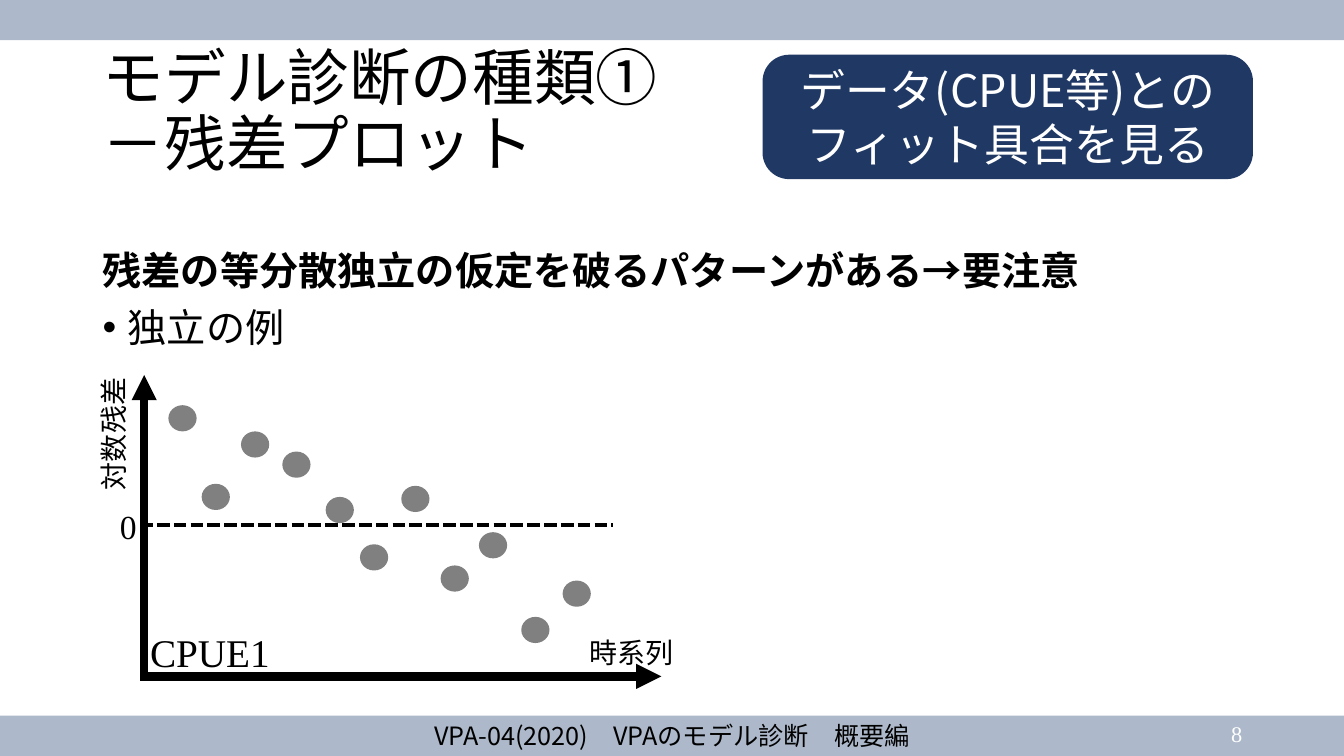
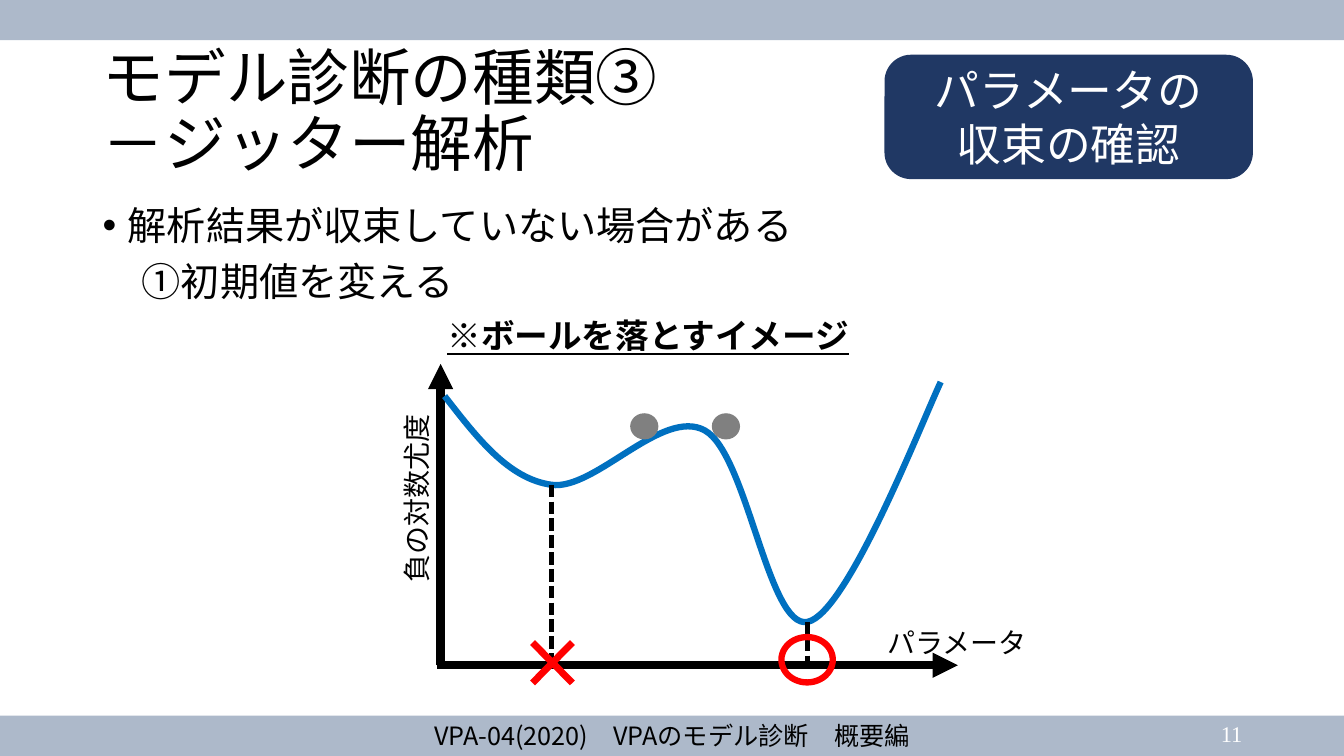
from lxml.etree import SubElement
from pptx import Presentation
from pptx.dml.color import RGBColor
from pptx.enum.dml import MSO_LINE
from pptx.enum.shapes import MSO_CONNECTOR, MSO_SHAPE
from pptx.enum.text import MSO_ANCHOR, MSO_AUTO_SIZE, PP_ALIGN
from pptx.oxml.ns import qn
from pptx.util import Pt

PX = 9144  # EMU per px, 100 px to the inch
SLIDE_WIDTH, SLIDE_HEIGHT, BAND_HEIGHT = 1333, 750, 40
SANS, SERIF = "Noto Sans CJK JP", "Times New Roman"
BLACK, WHITE, GRAY, RED = "000000", "FFFFFF", "808080", "FF0000"
BAND, NAVY, BLUE = "ADB9CA", "203864", "0070C0"
FOOTER = "VPA-04(2020)　VPAのモデル診断　概要編"
PLOT_WIDTH, PLOT_HEIGHT, AXIS_INSET = 517, 299, 4
DOT_WIDTH, DOT_HEIGHT = 28, 26


def px(*lengths):
    return [length * PX for length in lengths]


def rgb(color):
    return RGBColor.from_string(color)


def style_paragraph(paragraph, size, color=BLACK, face=SERIF, bold=False, underline=False):
    font = paragraph.font
    font.size, font.bold, font.underline = Pt(size), bold, underline
    font.color.rgb = rgb(color)
    font.name = face
    properties = paragraph._p.get_or_add_pPr().find(qn("a:defRPr"))
    SubElement(properties, qn("a:ea"), typeface=SANS)


def add_shape(slide, preset, box, fill=None, line=None, line_width=1):
    shape = slide.shapes.add_shape(preset, *px(*box))
    shape.shadow.inherit = False
    if fill:
        shape.fill.solid()
        shape.fill.fore_color.rgb = rgb(fill)
    else:
        shape.fill.background()
    if line:
        shape.line.color.rgb = rgb(line)
        shape.line.width = Pt(line_width)
    else:
        shape.line.fill.background()
    return shape


def add_text(slide, box, text, size, align=PP_ALIGN.LEFT, **style):
    text_box = slide.shapes.add_textbox(*px(*box))
    frame = text_box.text_frame
    frame.word_wrap = True
    frame.text = text
    paragraph = frame.paragraphs[0]
    paragraph.alignment = align
    style_paragraph(paragraph, size, **style)
    return text_box


def add_label(slide, box, text, size=20, rotation=0, **style):
    label = add_text(slide, box, text, size, **style)
    label.text_frame.word_wrap = False
    label.text_frame.auto_size = MSO_AUTO_SIZE.SHAPE_TO_FIT_TEXT
    label.rotation = rotation


def add_line(slide, start, end, width, arrow=False, dashed=False):
    connector = slide.shapes.add_connector(MSO_CONNECTOR.STRAIGHT, *px(*start, *end))
    connector.line.color.rgb = rgb(BLACK)
    connector.line.width = Pt(width)
    if dashed:
        connector.line.dash_style = MSO_LINE.SQUARE_DOT
    properties = connector.element.spPr
    if arrow:
        SubElement(properties.find(qn("a:ln")), qn("a:tailEnd"), type="triangle")
    SubElement(properties, qn("a:effectLst"))


def add_curve(slide, points, color, width):
    """Draw a cubic curve: a start point, then three points for each segment."""
    start, *rest = points
    builder = slide.shapes.build_freeform(*start, scale=PX)
    builder.add_line_segments(rest, close=False)
    curve = builder.convert_to_shape()
    curve.shadow.inherit = False
    curve.fill.background()
    curve.line.color.rgb = rgb(color)
    curve.line.width = Pt(width)
    outline = next(curve.element.iter(qn("a:path")))
    segments = outline.findall(qn("a:lnTo"))
    for first in range(0, len(segments), 3):
        cubic = SubElement(outline, qn("a:cubicBezTo"))
        for segment in segments[first:first + 3]:
            cubic.append(segment[0])
            outline.remove(segment)


def add_bands_to_layout(slide):
    """Draw the two bands and move them to the layout that the slides share."""
    layout_tree = slide.slide_layout.shapes.element
    for number, top in enumerate((SLIDE_HEIGHT - BAND_HEIGHT, 0)):
        band = add_shape(slide, MSO_SHAPE.RECTANGLE, (0, top, SLIDE_WIDTH, BAND_HEIGHT), BAND)
        band.element.nvSpPr.cNvPr.set("id", str(20 + number))
        layout_tree.append(band.element)


def add_title(slide, text):
    title = slide.shapes.title
    title.left, title.top, title.width, title.height = px(92, 40, 1150, 145)
    frame = title.text_frame
    frame.text = text
    frame.word_wrap = True
    frame.auto_size = MSO_AUTO_SIZE.NONE
    frame.vertical_anchor = MSO_ANCHOR.MIDDLE
    paragraph = frame.paragraphs[0]
    paragraph.alignment = PP_ALIGN.LEFT
    paragraph.line_spacing = 0.9
    style_paragraph(paragraph, 44, face=SANS)


def add_callout(slide, width, lines):
    right = 1242
    box = (right - width, 55, width, 122)
    callout = add_shape(slide, MSO_SHAPE.ROUNDED_RECTANGLE, box, NAVY, NAVY)
    callout.adjustments[0] = 0.21
    frame = callout.text_frame
    frame.word_wrap = True
    frame.vertical_anchor = MSO_ANCHOR.MIDDLE
    frame.text = "\n".join(lines)
    for paragraph in frame.paragraphs:
        paragraph.alignment = PP_ALIGN.CENTER
        style_paragraph(paragraph, 32, WHITE, SANS)


def add_body(slide, top, lines):
    """Write (text, bulleted, bold) lines from the given top."""
    frame = slide.shapes.add_textbox(*px(92, top, 1150, 110)).text_frame
    frame.word_wrap = True
    frame.text = "\n".join(text for text, _, _ in lines)
    for index, (paragraph, (_, bulleted, bold)) in enumerate(zip(frame.paragraphs, lines)):
        paragraph.line_spacing = 0.9
        if index:
            paragraph.space_before = Pt(10)
        if bulleted:
            properties = paragraph._p.get_or_add_pPr()
            properties.set("marL", str(25 * PX))
            properties.set("indent", str(-25 * PX))
            SubElement(properties, qn("a:buFont"), typeface="Arial")
            SubElement(properties, qn("a:buChar"), char="•")
        style_paragraph(paragraph, 28, bold=bold)


def add_footer(slide, number):
    add_text(slide, (351, 710, 631, 40), FOOTER, 18, PP_ALIGN.CENTER, face=SANS)
    page = add_text(slide, (942, 708, 300, 40), str(number), 16, PP_ALIGN.RIGHT, color=WHITE)
    page.text_frame.vertical_anchor = MSO_ANCHOR.MIDDLE


def add_axes(slide, left, top):
    bottom, axis = top + PLOT_HEIGHT, left + AXIS_INSET
    add_line(slide, (axis, bottom), (axis, top), 6, arrow=True)
    add_line(slide, (left, bottom), (left + PLOT_WIDTH, bottom), 6, arrow=True)


def add_dots(slide, left, top, offsets):
    for x, y in offsets:
        box = (left + x, top + y, DOT_WIDTH, DOT_HEIGHT)
        add_shape(slide, MSO_SHAPE.FLOWCHART_CONNECTOR, box, GRAY)


def add_residual_plot(slide, left, top):
    residuals = [(28, 30), (61, 108), (100, 56), (141, 76), (184, 121), (218, 168),
                 (259, 110), (298, 189), (336, 156), (378, 240), (419, 204)]
    zero = top + 149
    add_axes(slide, left, top)
    add_label(slide, (left - 92, top + 36, 132, 44), "対数残差", rotation=270)
    add_label(slide, (left + 436, top + 254, 104, 44), "時系列")
    add_line(slide, (left, zero), (left + 469, zero), 3, dashed=True)
    add_dots(slide, left, top, residuals)
    add_label(slide, (left - 30, zero - 24, 37, 50), "0", 24)
    add_label(slide, (left, top + 246, 140, 57), "CPUE1", 28)


def add_likelihood_plot(slide, left, top):
    curve = [(8, 32), (40, 73), (71, 114), (114, 120), (157, 126), (224, 43), (266, 66),
             (308, 89), (329, 264), (368, 256), (407, 248), (480, 61), (500, 18)]
    local_minimum, global_minimum = curve[3], curve[9]
    add_axes(slide, left, top)
    add_label(slide, (left - 114, top + 111, 188, 44), "負の対数尤度", rotation=270)
    add_curve(slide, [(left + x, top + y) for x, y in curve], BLUE, 4.5)
    add_label(slide, (left + 437, top + 255, 160, 44), "パラメータ")
    add_label(slide, (left + 1, top - 53, 424, 50), "※ボールを落とすイメージ", 24,
              bold=True, underline=True)
    for x, y in (local_minimum, global_minimum):
        add_line(slide, (left + x, top + y), (left + x, top + PLOT_HEIGHT), 3, dashed=True)
    add_dots(slide, left, top, [(192, 49), (273, 49)])
    add_shape(slide, MSO_SHAPE.FLOWCHART_CONNECTOR, (left + 342, top + 271, 51, 45),
              line=RED, line_width=4.5)
    cross = add_shape(slide, MSO_SHAPE.MATH_MULTIPLY, (left + 77, top + 258, 76, 77), RED)
    cross.adjustments[0] = 0.09


def add_diagnosis_slide(presentation, number, title, callout_width, callout, body_top, body):
    slide = presentation.slides.add_slide(presentation.slide_layouts[5])
    add_title(slide, title)
    add_body(slide, body_top, body)
    add_footer(slide, number)
    add_callout(slide, callout_width, callout)
    return slide


def main():
    presentation = Presentation()
    presentation.slide_width, presentation.slide_height = px(SLIDE_WIDTH, SLIDE_HEIGHT)

    residual_slide = add_diagnosis_slide(
        presentation, 8, "モデル診断の種類①\v－残差プロット",
        485, ["データ(CPUE等)とのフィット具合を見る"],
        245, [("残差の等分散独立の仮定を破るパターンがある→要注意", False, True),
              ("独立の例", True, False)])
    add_bands_to_layout(residual_slide)
    add_residual_plot(residual_slide, 139, 372)

    jitter_slide = add_diagnosis_slide(
        presentation, 11, "モデル診断の種類③\v－ジッター解析",
        364, ["パラメータの", "収束の確認"],
        200, [("解析結果が収束していない場合がある", True, False),
              ("　①初期値を変える", False, False)])
    add_likelihood_plot(jitter_slide, 433, 361)

    presentation.save("out.pptx")


if __name__ == "__main__":
    main()
